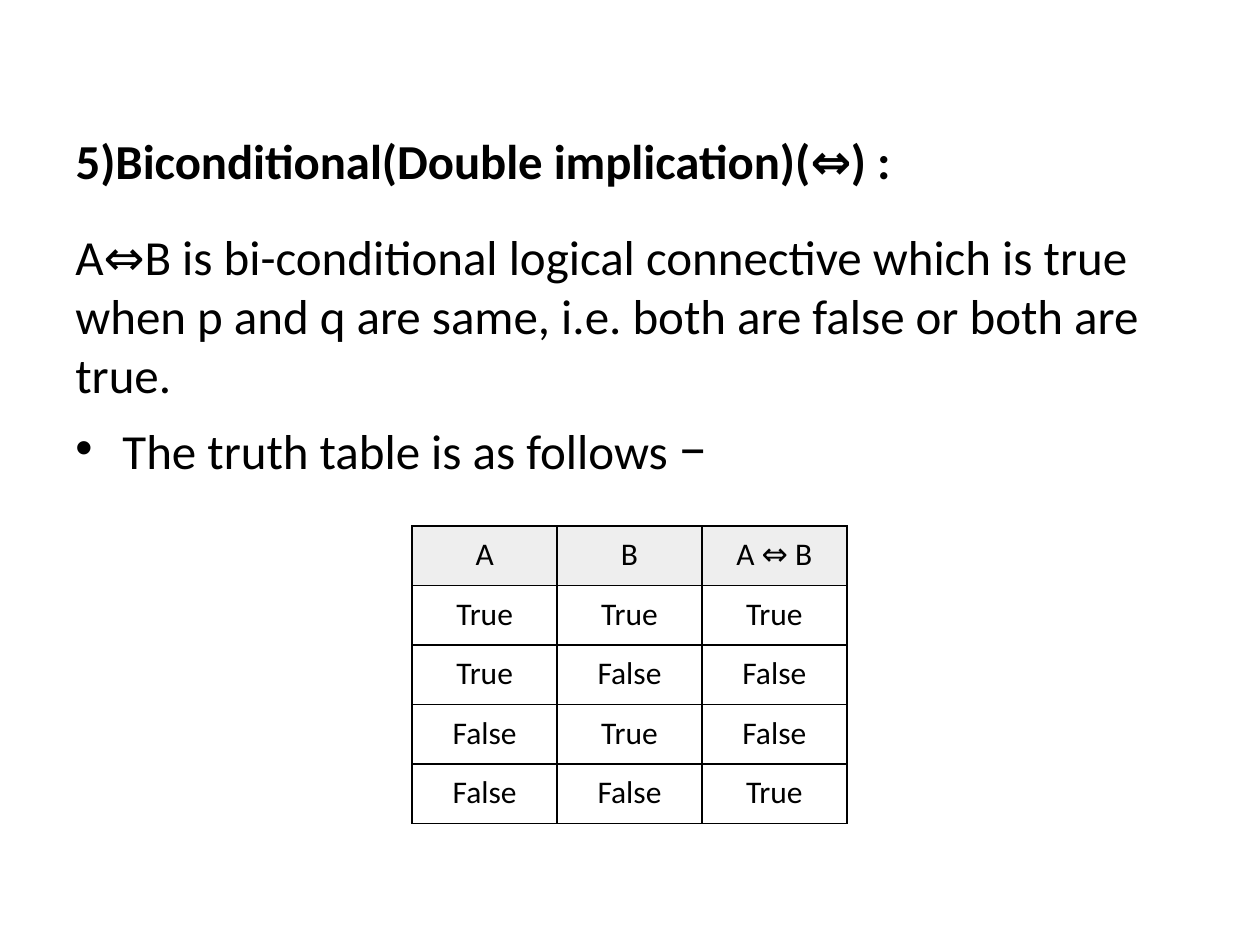
from lxml import etree
from pptx import Presentation
from pptx.dml.color import RGBColor
from pptx.enum.text import MSO_ANCHOR, MSO_AUTO_SIZE, PP_ALIGN
from pptx.oxml.ns import qn
from pptx.util import Cm, Pt

LEFT, CENTER = PP_ALIGN.LEFT, PP_ALIGN.CENTER
TOP, BOTTOM = MSO_ANCHOR.TOP, MSO_ANCHOR.BOTTOM
NO_FIT = MSO_AUTO_SIZE.NONE

FONT = "Calibri"
TITLE_ONLY = 5
COLORS = {"text": "000000", "header": "EEEEEE", "border": "000000"}

TRUTH_TABLE = [
    ("A", "B", "A ⇔ B"),
    ("True", "True", "True"),
    ("True", "False", "False"),
    ("False", "True", "False"),
    ("False", "False", "True"),
]


def rgb(name):
    return RGBColor.from_string(COLORS[name])


def add_run(p, text, size=28, bold=False, color="text"):
    r = p.add_run()
    r.text = text
    r.font.name = FONT
    r.font.size = Pt(size)
    r.font.bold = bold
    r.font.color.rgb = rgb(color)


def set_bullet(p, char="•", indent=Cm(0.95)):
    pPr = p._p.get_or_add_pPr()
    pPr.set("marL", str(indent))
    pPr.set("indent", str(-indent))
    etree.SubElement(pPr, qn("a:buFont"), typeface="Arial")
    etree.SubElement(pPr, qn("a:buChar"), char=char)


def set_borders(cell, width=Pt(1)):
    tcPr = cell._tc.get_or_add_tcPr()
    for i, side in enumerate(("lnL", "lnR", "lnT", "lnB")):
        ln = etree.Element(qn(f"a:{side}"), w=str(width))
        fill = etree.SubElement(ln, qn("a:solidFill"))
        etree.SubElement(fill, qn("a:srgbClr"), val=COLORS["border"])
        tcPr.insert(i, ln)


def add_title(s, text):
    title = s.shapes.title
    title.left, title.top = Cm(1.27), Cm(0.76)
    title.width, title.height = Cm(22.86), Cm(3.18)
    tf = title.text_frame
    tf.auto_size = NO_FIT
    tf.vertical_anchor = BOTTOM
    p = tf.paragraphs[0]
    p.alignment = LEFT
    add_run(p, text, size=27.9, bold=True)


def add_body(s):
    tf = s.shapes.add_textbox(Cm(1.27), Cm(4.45), Cm(22.86), Cm(5.6)).text_frame
    tf.word_wrap = True
    add_run(tf.paragraphs[0],
            "A⇔B\u00a0is bi-conditional logical connective which is true "
            "when p and q are same, i.e. both are false or both are true.")
    p = tf.add_paragraph()
    p.space_before = Pt(6)
    set_bullet(p)
    add_run(p, "The truth table is as follows ")
    add_run(p, "−", size=32)


def add_truth_table(s, rows, left, top, col_width, row_height):
    n_rows, n_cols = len(rows), len(rows[0])
    table = s.shapes.add_table(n_rows, n_cols, left, top,
                               col_width * n_cols, row_height * n_rows).table
    table.horz_banding = False
    table.first_row = False
    for row, values in zip(table.rows, rows):
        row.height = row_height
        for cell, text in zip(row.cells, values):
            cell.margin_left = cell.margin_right = Cm(0.2)
            cell.margin_top = cell.margin_bottom = Cm(0.2)
            cell.vertical_anchor = TOP
            p = cell.text_frame.paragraphs[0]
            p.alignment = CENTER
            add_run(p, text, size=18)
            # Only the header row is shaded
            if values is rows[0]:
                cell.fill.solid()
                cell.fill.fore_color.rgb = rgb("header")
            else:
                cell.fill.background()
            set_borders(cell)


def main():
    prs = Presentation()
    prs.slide_width, prs.slide_height = Cm(25.4), Cm(19.05)
    s = prs.slides.add_slide(prs.slide_layouts[TITLE_ONLY])

    # Heading and definition
    add_title(s, "5)Biconditional(Double implication)(⇔)\u00a0:")
    add_body(s)

    # Truth table
    add_truth_table(s, TRUTH_TABLE, Cm(8.31), Cm(10.6), Cm(2.92), Cm(1.2))

    prs.save("out.pptx")


if __name__ == "__main__":
    main()
